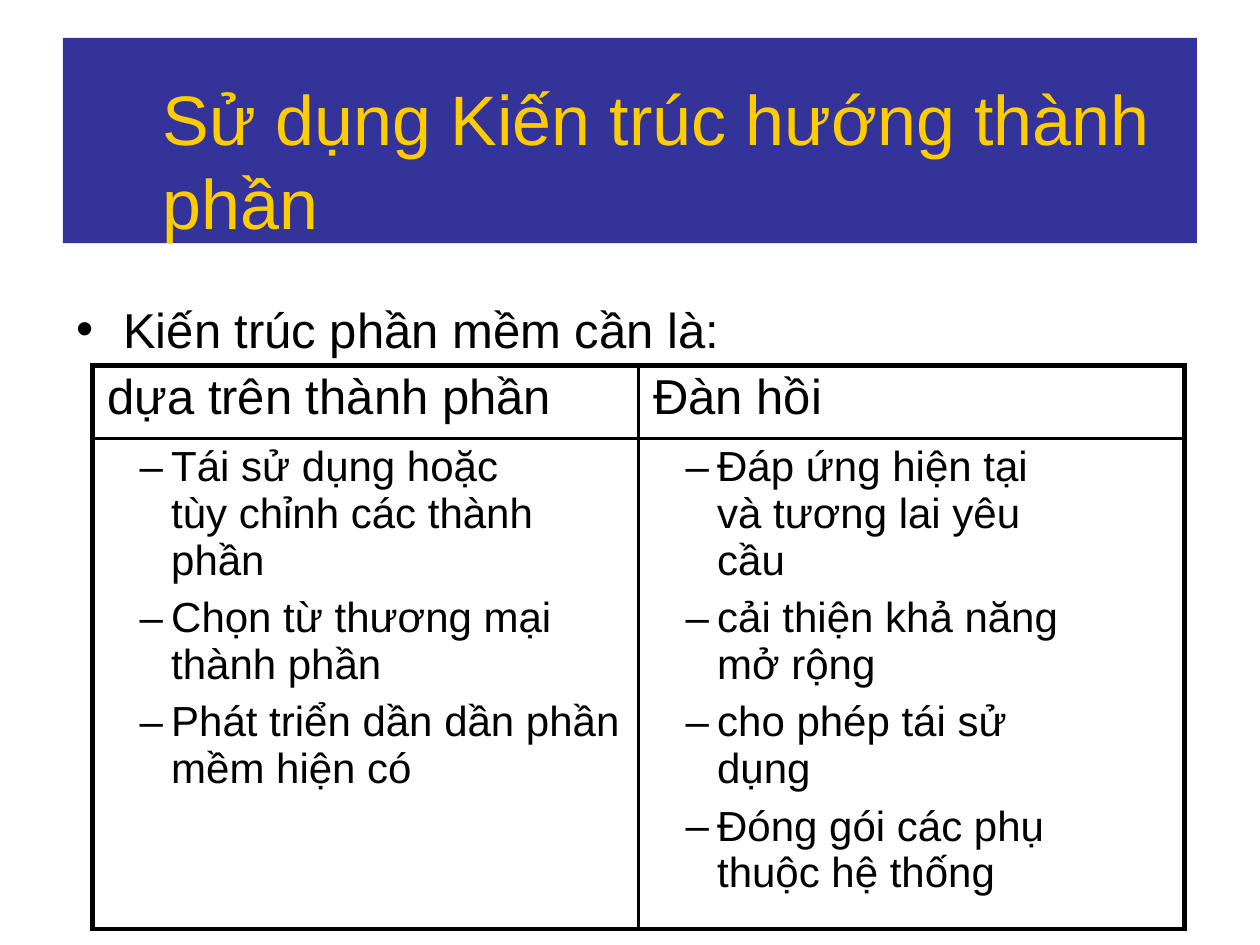
from dataclasses import dataclass

from lxml.etree import SubElement
from pptx import Presentation
from pptx.dml.color import RGBColor
from pptx.enum.shapes import MSO_SHAPE
from pptx.enum.text import MSO_ANCHOR, PP_ALIGN
from pptx.oxml.ns import qn
from pptx.util import Pt


@dataclass(frozen=True)
class Theme:
    font: str = "Arial"
    banner: RGBColor = RGBColor(0x33, 0x33, 0x99)
    title: RGBColor = RGBColor(0xFF, 0xCC, 0x00)
    ink: RGBColor = RGBColor(0, 0, 0)
    title_size: float = 40
    body_size: float = 28
    item_size: float = 24
    outer_line: float = 3
    inner_line: float = 1.5


def assign(target, values):
    for name, value in values.items():
        setattr(target, name, value)


class SlideBuilder:
    def __init__(self, slide, theme):
        self.slide = slide
        self.theme = theme

    def frame(self, text_frame, top=0.0, anchor=MSO_ANCHOR.TOP):
        assign(text_frame, {
            "word_wrap": True, "vertical_anchor": anchor,
            "margin_left": 0, "margin_right": 0,
            "margin_top": Pt(top), "margin_bottom": 0,
        })

    def add_text(self, paragraph, text, size, color, left=0.0, hanging=0.0,
                 right=0.0, before=0.0, bullet=None):
        run = paragraph.add_run()
        run.text = text
        assign(run.font, {"name": self.theme.font, "size": Pt(size)})
        run.font.color.rgb = color
        assign(paragraph, {"alignment": PP_ALIGN.LEFT, "space_before": Pt(before)})
        properties = paragraph._p.get_or_add_pPr()
        for name, value in {"marL": left, "marR": right, "indent": -hanging}.items():
            properties.set(name, str(int(Pt(value))))
        if bullet:
            SubElement(properties, qn("a:buFont")).set("typeface", self.theme.font)
            SubElement(properties, qn("a:buChar")).set("char", bullet)
        else:
            SubElement(properties, qn("a:buNone"))

    def banner(self, text, left, top, width, height):
        shape = self.slide.shapes.add_shape(
            MSO_SHAPE.RECTANGLE, Pt(left), Pt(top), Pt(width), Pt(height))
        shape.shadow.inherit = False
        shape.fill.solid()
        shape.fill.fore_color.rgb = self.theme.banner
        shape.line.fill.background()
        self.frame(shape.text_frame, 20, MSO_ANCHOR.BOTTOM)
        self.add_text(shape.text_frame.paragraphs[0], text, self.theme.title_size,
                      self.theme.title, left=57)

    def bullet_line(self, text, left, top, width, height):
        shape = self.slide.shapes.add_textbox(Pt(left), Pt(top), Pt(width), Pt(height))
        self.frame(shape.text_frame, 1)
        self.add_text(shape.text_frame.paragraphs[0], text, self.theme.body_size,
                      self.theme.ink, left=28, hanging=27, before=1, bullet="•")

    def border(self, cell, widths):
        properties = cell._tc.get_or_add_tcPr()
        for position, (side, width) in enumerate(widths.items()):
            line = properties.makeelement(qn(f"a:ln{side}"), {"w": str(int(Pt(width)))})
            fill = SubElement(line, qn("a:solidFill"))
            SubElement(fill, qn("a:srgbClr")).set("val", str(self.theme.ink))
            properties.insert(position, line)

    def comparison(self, columns, left, top, column_width, row_heights):
        last_row, last_column = len(row_heights) - 1, len(columns) - 1
        table = self.slide.shapes.add_table(
            len(row_heights), len(columns), Pt(left), Pt(top),
            Pt(column_width * len(columns)), Pt(sum(row_heights))).table
        assign(table, {"first_row": False, "horz_banding": False})
        for row, height in zip(table.rows, row_heights):
            row.height = Pt(height)
        for column_index, (heading, items) in enumerate(columns):
            table.columns[column_index].width = Pt(column_width)
            for row_index in range(len(row_heights)):
                cell = table.cell(row_index, column_index)
                assign(cell, {"margin_left": 0, "margin_right": 0,
                              "margin_top": Pt(3), "margin_bottom": 0})
                cell.fill.background()
                edges = {"L": column_index == 0, "R": column_index == last_column,
                         "T": row_index == 0, "B": row_index == last_row}
                self.border(cell, {
                    side: self.theme.outer_line if outer else self.theme.inner_line
                    for side, outer in edges.items()})
            self.add_text(table.cell(0, column_index).text_frame.paragraphs[0], heading,
                          self.theme.body_size, self.theme.ink, left=8.5, before=3)
            text_frame = table.cell(1, column_index).text_frame
            for index, (item, right) in enumerate(items):
                paragraph = text_frame.add_paragraph() if index else text_frame.paragraphs[0]
                self.add_text(paragraph, item, self.theme.item_size, self.theme.ink,
                              left=45, hanging=18, right=right,
                              before=6 if index else 2.7, bullet="–")


# Each item is paired with its right indent
COLUMNS = [
    ("dựa trên thành phần", [
        ("Tái sử dụng hoặc tùy chỉnh các thành phần", 55),
        ("Chọn từ thương mại thành phần", 20),
        ("Phát triển dần dần phần mềm hiện có", 0),
    ]),
    ("Đàn hồi", [
        ("Đáp ứng hiện tại và tương lai yêu cầu", 62),
        ("cải thiện khả năng mở rộng", 62),
        ("cho phép tái sử dụng", 62),
        ("Đóng gói các phụ thuộc hệ thống", 62),
    ]),
]

presentation = Presentation()
assign(presentation, {"slide_width": Pt(720), "slide_height": Pt(540)})
builder = SlideBuilder(
    presentation.slides.add_slide(presentation.slide_layouts[6]), Theme())

# Title banner
builder.banner("Sử dụng Kiến trúc hướng thành phần", 36, 21.6, 648, 117.4)

# Lead-in line
builder.bullet_line("Kiến trúc phần mềm cần là:", 42.5, 170, 456, 35)

# Two-column comparison
builder.comparison(COLUMNS, 52.8, 208.8, 312, [41.8, 279.5])

presentation.save("out.pptx")
